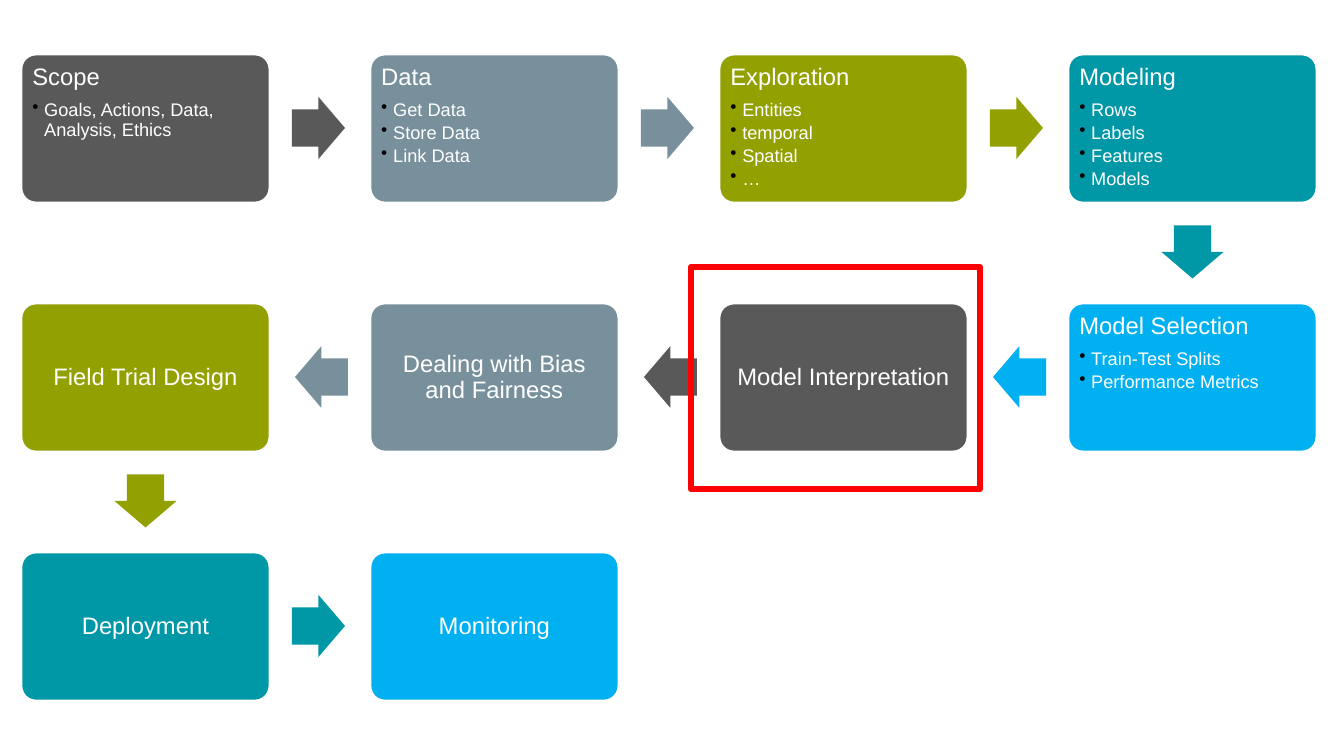
from lxml import etree
from pptx import Presentation
from pptx.dml.color import RGBColor
from pptx.enum.shapes import MSO_SHAPE
from pptx.enum.text import MSO_ANCHOR, PP_ALIGN
from pptx.oxml.ns import qn
from pptx.util import Pt

ROUNDED, ARROW, RECTANGLE = MSO_SHAPE.ROUNDED_RECTANGLE, MSO_SHAPE.RIGHT_ARROW, MSO_SHAPE.RECTANGLE
TOP, MIDDLE = MSO_ANCHOR.TOP, MSO_ANCHOR.MIDDLE
LEFT, CENTER = PP_ALIGN.LEFT, PP_ALIGN.CENTER

GRAY, SLATE, OLIVE, TEAL, BLUE = "595959", "78909C", "92A000", "0097A7", "00B0F0"
WHITE, BLACK, RED = "FFFFFF", "000000", "FF0000"

# column, row, color, title, bullets, direction of the arrow to the next step
STEPS = [
    (0, 0, GRAY, "Scope", ["Goals, Actions, Data, Analysis, Ethics"], "right"),
    (1, 0, SLATE, "Data", ["Get Data", "Store Data", "Link Data"], "right"),
    (2, 0, OLIVE, "Exploration", ["Entities", "temporal", "Spatial", "…"], "right"),
    (3, 0, TEAL, "Modeling", ["Rows", "Labels", "Features", "Models"], "down"),
    (3, 1, BLUE, "Model Selection", ["Train-Test Splits", "Performance Metrics"], "left"),
    (2, 1, GRAY, "Model Interpretation", [], "left"),
    (1, 1, SLATE, "Dealing with Bias and Fairness", [], "left"),
    (0, 1, OLIVE, "Field Trial Design", [], "down"),
    (0, 2, TEAL, "Deployment", [], "right"),
    (1, 2, BLUE, "Monitoring", [], None),
]

# Lengths in px
SCALE = 914400 / 100.8
SLIDE_WIDTH, SLIDE_HEIGHT = 1344, 756
GRID_LEFT, GRID_TOP, PITCH = 21, 54, 349
ROW_PITCH = 249
BOX_WIDTH, BOX_HEIGHT = 249, 149
INSET, BULLET_INDENT = 7, 12
ARROW_WIDTH, ARROW_HEIGHT = 53, 62
# direction: offset from the box corner, rotation
ARROWS = {"right": (271, 43, 0), "left": (-75, 43, 180), "down": (98, 167, 90)}
HIGHLIGHT = (691, 267, 289, 222)


def px(length):
    return round(length * SCALE)


def color(value):
    return RGBColor.from_string(value)


def add_shape(kind, left, top, width, height, fill=None, line=None, line_width=0):
    shape = slide.shapes.add_shape(kind, px(left), px(top), px(width), px(height))
    shape.shadow.inherit = False
    if fill:
        shape.fill.solid()
        shape.fill.fore_color.rgb = color(fill)
    else:
        shape.fill.background()
    if line:
        shape.line.color.rgb = color(line)
        shape.line.width = Pt(line_width)
    else:
        shape.line.fill.background()
    return shape


def add_bullet(para):
    properties = para._p.get_or_add_pPr()
    properties.set("marL", str(px(BULLET_INDENT)))
    properties.set("indent", str(-px(BULLET_INDENT)))
    bullet_color = etree.SubElement(properties, qn("a:buClr"))
    etree.SubElement(bullet_color, qn("a:srgbClr"), val=BLACK)
    etree.SubElement(properties, qn("a:buChar"), char="•")


def format_para(para, size, space_after, alignment):
    para.alignment = alignment
    para.line_spacing = 0.9
    para.space_after = Pt(space_after)
    para.font.name = "Arial"
    para.font.size = Pt(size)
    para.font.color.rgb = color(WHITE)


def fill_text(box, title, bullets):
    frame = box.text_frame
    frame.word_wrap = True
    frame.margin_left = frame.margin_right = px(INSET)
    frame.margin_top = frame.margin_bottom = px(INSET)
    frame.vertical_anchor = TOP if bullets else MIDDLE
    frame.text = title
    format_para(frame.paragraphs[0], 17, 7 if bullets else 0, LEFT if bullets else CENTER)
    for bullet in bullets:
        para = frame.add_paragraph()
        para.text = bullet
        para.level = 1
        add_bullet(para)
        format_para(para, 13, 2.3, LEFT)


deck = Presentation()
deck.slide_width, deck.slide_height = px(SLIDE_WIDTH), px(SLIDE_HEIGHT)
slide = deck.slides.add_slide(deck.slide_layouts[6])

for column, row, step_color, title, bullets, direction in STEPS:
    left, top = GRID_LEFT + column * PITCH, GRID_TOP + row * ROW_PITCH
    box = add_shape(ROUNDED, left, top, BOX_WIDTH, BOX_HEIGHT, step_color, WHITE, 2)
    box.adjustments[0] = 0.1
    fill_text(box, title, bullets)
    if direction:
        shift_x, shift_y, rotation = ARROWS[direction]
        arrow = add_shape(ARROW, left + shift_x, top + shift_y,
                          ARROW_WIDTH, ARROW_HEIGHT, step_color)
        arrow.adjustments[0], arrow.adjustments[1] = 0.6, 0.5
        arrow.rotation = rotation

highlight = add_shape(RECTANGLE, *HIGHLIGHT, line=RED, line_width=4.5)
etree.SubElement(highlight.line._get_or_add_ln(), qn("a:round"))

deck.save("out.pptx")
